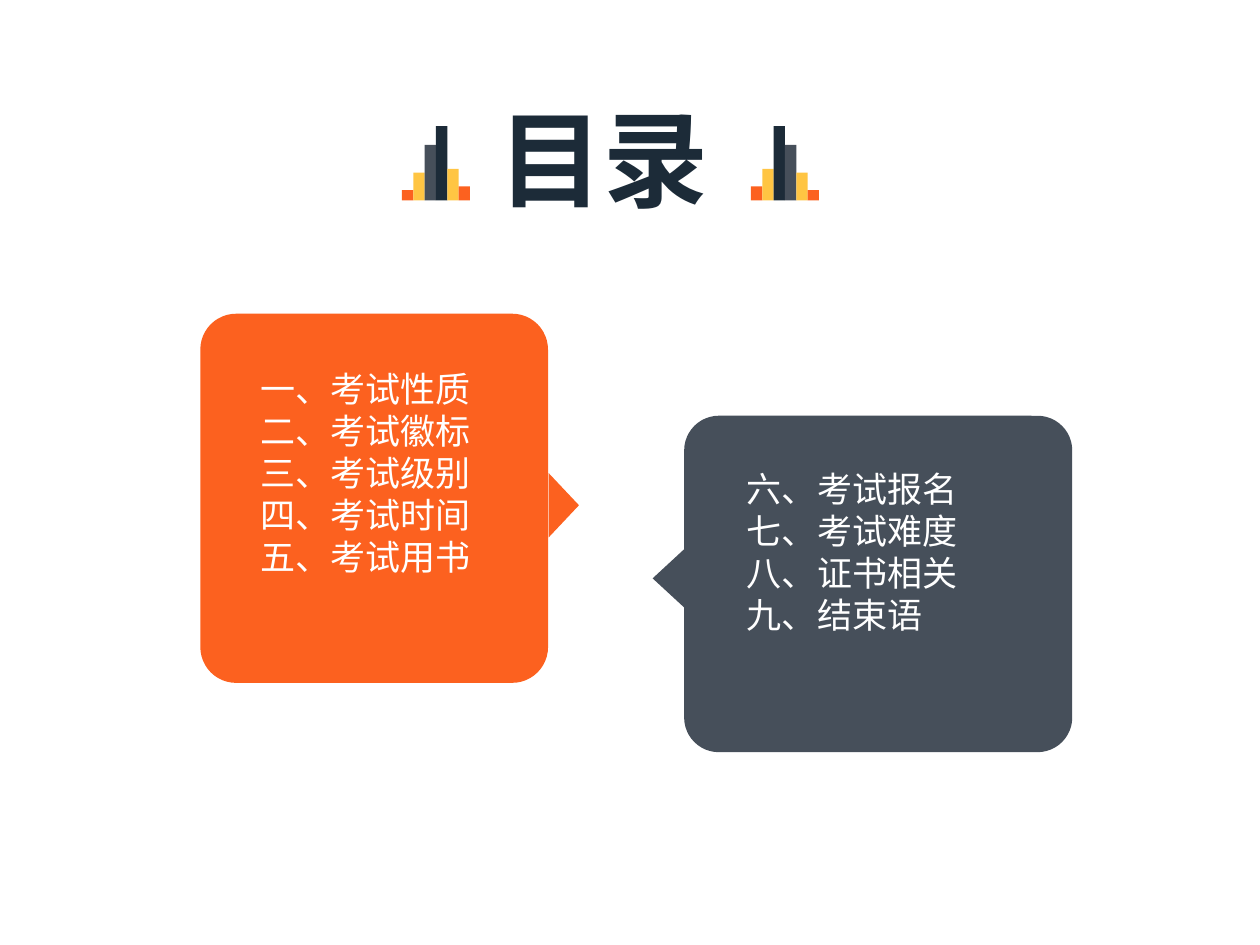
"""Build the contents slide with two callout panels."""
from dataclasses import dataclass

from pptx import Presentation
from pptx.dml.color import RGBColor
from pptx.enum import shapes, text
from pptx.oxml import ns
from pptx.util import Inches, Pt

COLORS = {"orange": "FC611F", "yellow": "FFC543", "slate": "464F5A",
          "navy": "1C2B38", "white": "FFFFFF"}
SHAPE = shapes.MSO_SHAPE
BAR_WIDTH = 0.09
BAR_BASE = 1.59


@dataclass
class Box:
    left: float
    top: float
    width: float
    height: float

    def lengths(self) -> list:
        return [Inches(v) for v in (self.left, self.top, self.width, self.height)]


@dataclass
class Bar:
    height: float
    color: str


@dataclass
class Callout:
    body: Box
    pointer: Box
    pointer_angle: int
    label: Box
    color: str
    items: list[str]


BARS = [Bar(0.08, "orange"), Bar(0.22, "yellow"), Bar(0.44, "slate"),
        Bar(0.59, "navy"), Bar(0.25, "yellow"), Bar(0.11, "orange")]

CALLOUTS = [
    Callout(Box(1.59, 2.49, 2.76, 2.93), Box(4.22, 3.89, 0.51, 0.24), 90,
            Box(1.97, 2.87, 2.37, 1.78), "orange",
            ["一、考试性质", "二、考试徽标", "三、考试级别", "四、考试时间", "五、考试用书"]),
    Callout(Box(5.43, 3.3, 3.08, 2.67), Box(5.07, 4.46, 0.48, 0.26), 270,
            Box(5.83, 3.66, 2.46, 1.45), "slate",
            ["六、考试报名", "七、考试难度", "八、证书相关", "九、结束语"]),
]


def add_filled(parent, kind, box: Box, color: str):
    sp = parent.add_shape(kind, *box.lengths())
    sp.shadow.inherit = False
    sp.fill.solid()
    sp.fill.fore_color.rgb = RGBColor.from_string(COLORS[color])
    sp.line.fill.background()
    return sp


def add_text(s, box: Box, lines: list[str], font: str, size: int, color: str,
             bold: bool = False, spacing: int | None = None) -> None:
    tf = s.shapes.add_textbox(*box.lengths()).text_frame
    tf.word_wrap = True
    tf.auto_size = text.MSO_AUTO_SIZE.SHAPE_TO_FIT_TEXT
    tf.text = "\n".join(lines)
    for p in tf.paragraphs:
        if spacing:
            p.line_spacing = Pt(spacing)
        for r in p.runs:
            r.font.name, r.font.size, r.font.bold = font, Pt(size), bold
            r.font.color.rgb = RGBColor.from_string(COLORS[color])
            ea = r.font._element.makeelement(ns.qn("a:ea"), {"typeface": font})
            r.font._element.find(ns.qn("a:latin")).addnext(ea)


def add_bars(s, left: float, mirrored: bool = False) -> None:
    group = s.shapes.add_group_shape()
    for i, bar in enumerate(reversed(BARS) if mirrored else BARS):
        box = Box(left + i * BAR_WIDTH, BAR_BASE - bar.height, BAR_WIDTH, bar.height)
        add_filled(group.shapes, SHAPE.RECTANGLE, box, bar.color)


def add_callout(s, callout: Callout) -> None:
    body = add_filled(s.shapes, SHAPE.ROUNDED_RECTANGLE, callout.body, callout.color)
    body.adjustments[0] = 0.103
    pointer = add_filled(s.shapes, SHAPE.ISOSCELES_TRIANGLE, callout.pointer, callout.color)
    pointer.rotation = callout.pointer_angle
    add_text(s, callout.label, callout.items, "Noto Sans CJK SC", 20, "white", spacing=24)


def main() -> None:
    prs = Presentation()
    prs.slide_width, prs.slide_height = Inches(10), Inches(7.5)
    s = prs.slides.add_slide(prs.slide_layouts[6])
    add_text(s, Box(3.86, 0.7, 2.55, 1.11), ["目录"], "Calibri", 60, "navy", bold=True)
    add_bars(s, 3.19)
    add_bars(s, 5.96, mirrored=True)
    for callout in CALLOUTS:
        add_callout(s, callout)
    prs.save("out.pptx")


if __name__ == "__main__":
    main()
